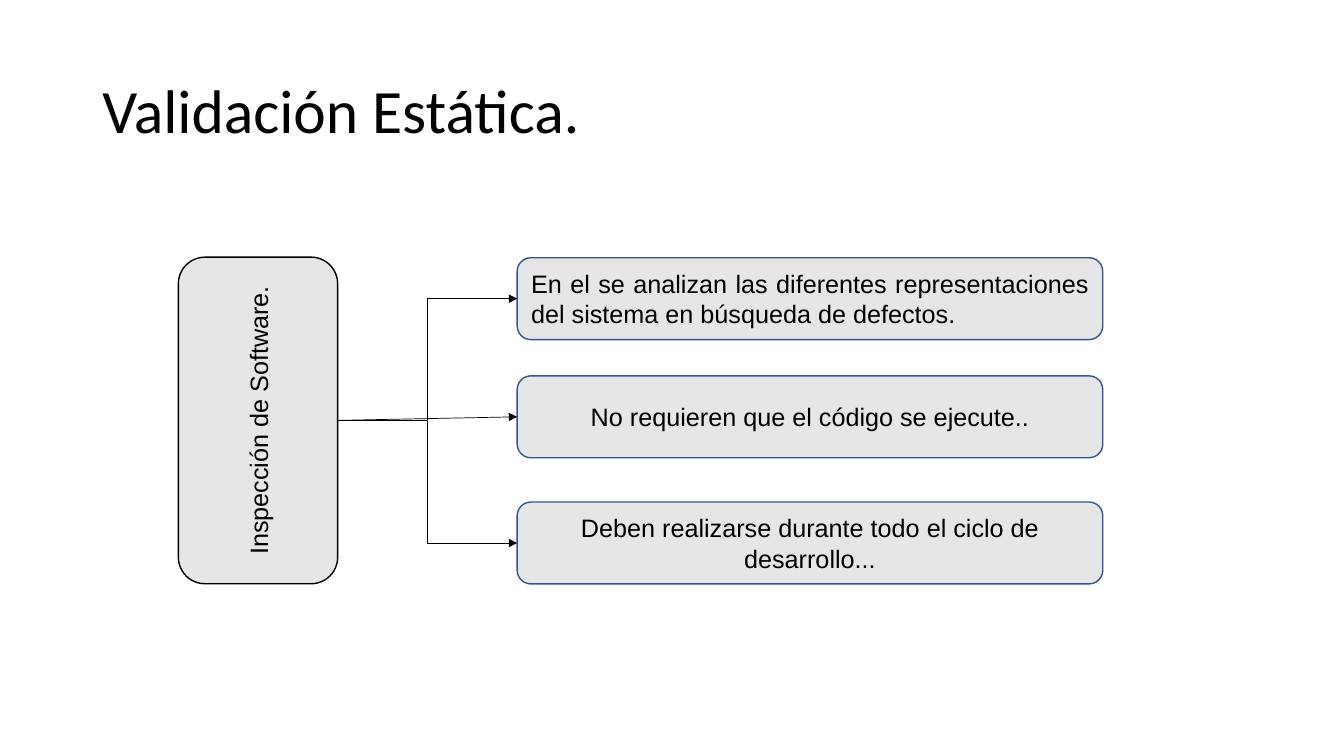
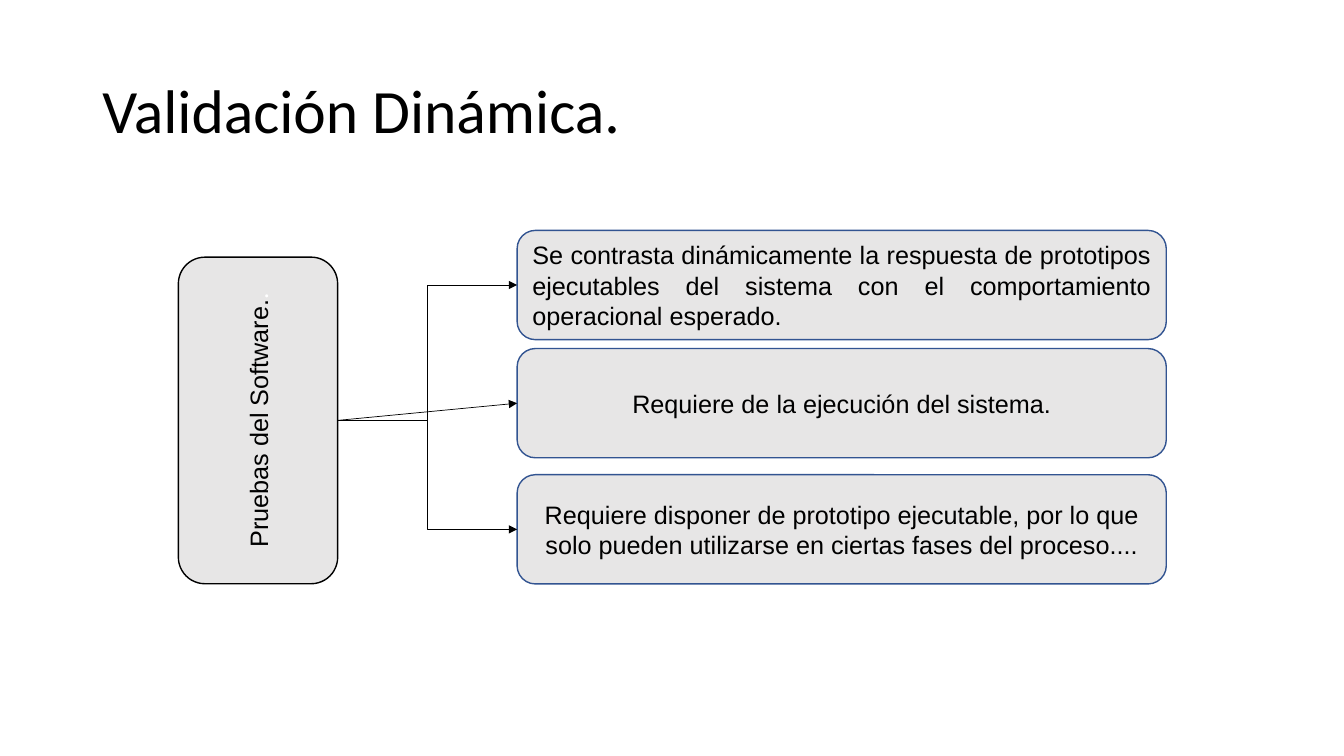
from dataclasses import dataclass

from lxml import etree
from pptx import Presentation
from pptx.dml.color import RGBColor
from pptx.enum import shapes, text
from pptx.oxml import ns
from pptx.util import Pt

BLACK, WHITE, GREY, BLUE = "000000", "FFFFFF", "E7E6E6", "325491"
BODY_FONT, TITLE_FONT = "Arial", "Calibri"
BODY_SIZE, TITLE_SIZE = 18, 44

HUB_CENTER_X, HUB_CENTER_Y = 184.3, 300.3
HUB_LENGTH, HUB_THICKNESS = 233.3, 113.8
BOX_LEFT = 369.4
BOX_BOTTOMS = (242.6, 327, 417.1)
SITE_LEFT, SITE_BOTTOM = 1, 2


@dataclass
class Scheme:
    title: str
    hub: str
    boxes: tuple[str, str, str]
    box_width: float
    box_height: float
    white_ending: str = ""


SCHEMES = (
    Scheme(
        "Validación Estática.",
        "Inspección de Software.",
        (
            "En el se analizan las diferentes representaciones del sistema "
            "en búsqueda de defectos.",
            "No requieren que el código se ejecute..",
            "Deben realizarse durante todo el ciclo de desarrollo...",
        ),
        418.3, 58.5,
    ),
    Scheme(
        "Validación Dinámica.",
        "Pruebas del Software.",
        (
            "Se contrasta dinámicamente la respuesta de prototipos ejecutables "
            "del sistema con el comportamiento operacional esperado.",
            "Requiere de la ejecución del sistema.",
            "Requiere disponer de prototipo ejecutable, por lo que solo pueden "
            "utilizarse en ciertas fases del proceso....",
        ),
        463.7, 78,
        white_ending=".",
    ),
)


def rgb(color: str) -> RGBColor:
    return RGBColor.from_string(color)


def style_run(r, font: str, size: float, color: str) -> None:
    r.font.name = font
    r.font.size = Pt(size)
    r.font.color.rgb = rgb(color)


def add_title(s, title: str) -> None:
    tf = s.shapes.add_textbox(Pt(66), Pt(28.75), Pt(828), Pt(104.4)).text_frame
    tf.word_wrap = True
    tf.vertical_anchor = text.MSO_ANCHOR.MIDDLE
    tf.text = title
    p = tf.paragraphs[0]
    p.line_spacing = 0.9
    style_run(p.runs[0], TITLE_FONT, TITLE_SIZE, BLACK)


def add_box(s, left: float, top: float, width: float, height: float,
            label: str, line: str, align=text.PP_ALIGN.CENTER):
    sp = s.shapes.add_shape(shapes.MSO_SHAPE.ROUNDED_RECTANGLE,
                            Pt(left), Pt(top), Pt(width), Pt(height))
    sp.shadow.inherit = False
    sp.fill.solid()
    sp.fill.fore_color.rgb = rgb(GREY)
    sp.line.color.rgb = rgb(line)
    sp.line.width = Pt(1)
    tf = sp.text_frame
    tf.word_wrap = True
    tf.vertical_anchor = text.MSO_ANCHOR.MIDDLE
    tf.text = label
    p = tf.paragraphs[0]
    p.alignment = align
    style_run(p.runs[0], BODY_FONT, BODY_SIZE, BLACK)
    return sp


def add_hub(s, scheme: Scheme):
    hub = add_box(s, HUB_CENTER_X - HUB_LENGTH / 2, HUB_CENTER_Y - HUB_THICKNESS / 2,
                  HUB_LENGTH, HUB_THICKNESS, scheme.hub, BLACK)
    hub.rotation = 270
    if scheme.white_ending:
        r = hub.text_frame.paragraphs[0].add_run()
        r.text = scheme.white_ending
        style_run(r, TITLE_FONT, BODY_SIZE, WHITE)
    return hub


def add_arrow(s, hub, box, kind) -> None:
    """Join the hub's visible right side to the left side of a box."""
    start = Pt(HUB_CENTER_X + HUB_THICKNESS / 2), Pt(HUB_CENTER_Y)
    arrow = s.shapes.add_connector(kind, *start, box.left, box.top + box.height // 2)
    arrow.begin_connect(hub, SITE_BOTTOM)
    arrow.end_connect(box, SITE_LEFT)
    # Gluing ignores the hub's rotation, so the start is set again.
    arrow.begin_x, arrow.begin_y = start
    arrow.line.color.rgb = rgb(BLACK)
    arrow.line.width = Pt(0.5)
    etree.SubElement(arrow.line._get_or_add_ln(), ns.qn("a:tailEnd"), type="triangle")
    etree.SubElement(arrow._element.spPr, ns.qn("a:effectLst"))


def add_scheme(prs, scheme: Scheme) -> None:
    s = prs.slides.add_slide(prs.slide_layouts[6])
    add_title(s, scheme.title)
    aligns = (text.PP_ALIGN.JUSTIFY, text.PP_ALIGN.CENTER, text.PP_ALIGN.CENTER)
    boxes = [
        add_box(s, BOX_LEFT, bottom - scheme.box_height, scheme.box_width,
                scheme.box_height, label, BLUE, align)
        for label, bottom, align in zip(scheme.boxes, BOX_BOTTOMS, aligns)
    ]
    hub = add_hub(s, scheme)
    top, middle, bottom = boxes
    for box in (top, bottom):
        add_arrow(s, hub, box, shapes.MSO_CONNECTOR.ELBOW)
    add_arrow(s, hub, middle, shapes.MSO_CONNECTOR.STRAIGHT)


def main() -> None:
    prs = Presentation()
    prs.slide_width, prs.slide_height = Pt(960), Pt(540)
    for scheme in SCHEMES:
        add_scheme(prs, scheme)
    prs.save("out.pptx")


if __name__ == "__main__":
    main()
